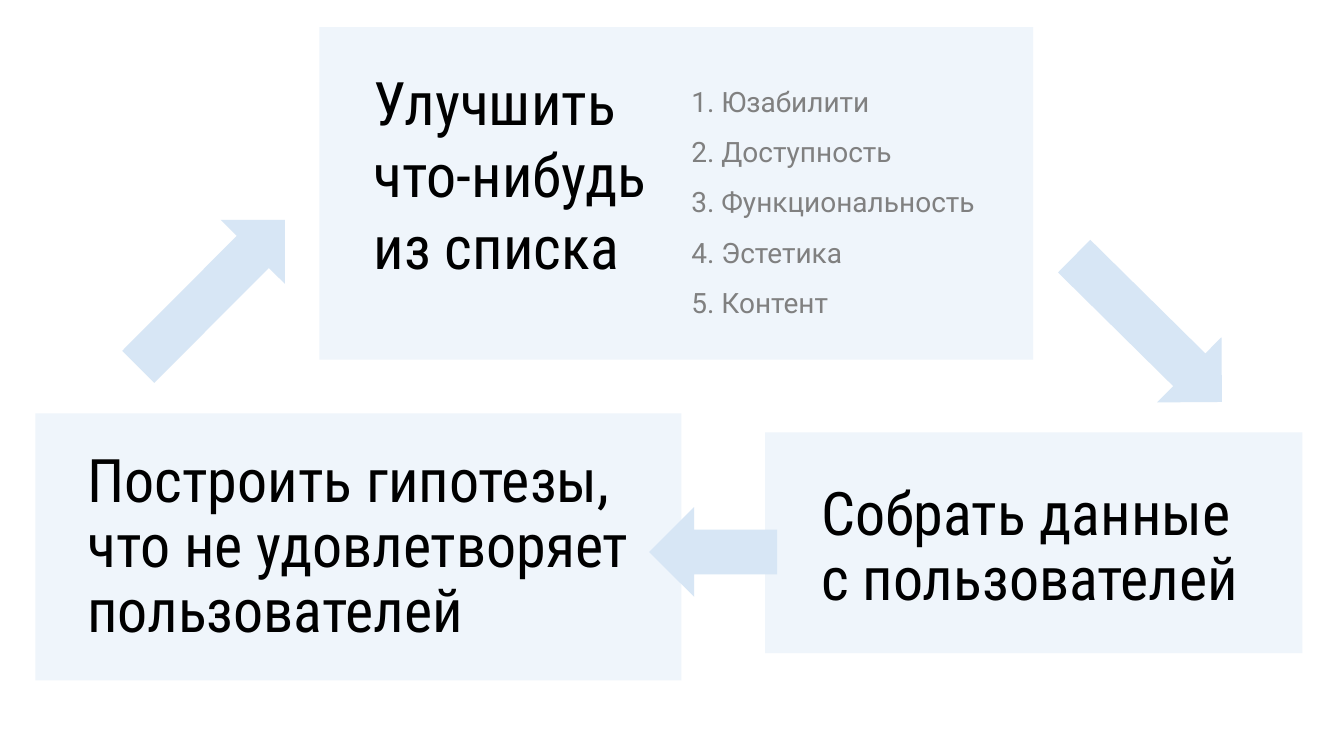
"""Build a slide showing the three-step product improvement cycle."""
from dataclasses import dataclass

from pptx import Presentation
from pptx.dml.color import RGBColor
from pptx.enum import shapes, text
from pptx.util import Pt


@dataclass(frozen=True)
class Theme:
    card: RGBColor = RGBColor(0xEF, 0xF5, 0xFB)
    arrow: RGBColor = RGBColor(0xD7, 0xE6, 0xF5)
    heading: RGBColor = RGBColor(0, 0, 0)
    detail: RGBColor = RGBColor(0x80, 0x80, 0x80)
    heading_size: float = 42.9
    detail_size: float = 20


theme = Theme()
presentation = Presentation()
presentation.slide_width = Pt(960)
presentation.slide_height = Pt(540)
slide = presentation.slides.add_slide(presentation.slide_layouts[6])


def add_block(kind, bounds, color, rotation=0):
    shape = slide.shapes.add_shape(kind, *map(Pt, bounds))
    shape.shadow.inherit = False
    shape.fill.solid()
    shape.fill.fore_color.rgb = color
    shape.line.fill.background()
    shape.rotation = rotation


def add_text(lines, bounds, anchor, spacing, font_format):
    frame = slide.shapes.add_textbox(*map(Pt, bounds)).text_frame
    frame.word_wrap = True
    frame.vertical_anchor = anchor
    frame.text = "\n".join(lines)
    for paragraph in frame.paragraphs:
        paragraph.line_spacing = spacing
        for name, value in font_format.items():
            setattr(paragraph.font, name, value)
        paragraph.font.color.rgb = (
            theme.detail if font_format is detail_format else theme.heading
        )


heading_format = {"name": "Roboto Condensed", "size": Pt(theme.heading_size)}
detail_format = {"name": "Roboto", "size": Pt(theme.detail_size)}

cards = [
    (25.2, 295.2, 461.5, 190.8),
    (546.5, 308.9, 383.8, 157.7),
    (228.2, 19.4, 509.8, 237.6),
]
for bounds in cards:
    add_block(shapes.MSO_SHAPE.RECTANGLE, bounds, theme.card)

qualities = ["Юзабилити", "Доступность", "Функциональность", "Эстетика", "Контент"]
numbered = [f"{number}. {quality}" for number, quality in enumerate(qualities, 1)]
top, middle = text.MSO_ANCHOR.TOP, text.MSO_ANCHOR.MIDDLE
texts = [
    (numbered, (486.7, 44.6, 234, 198.7), top, 1.5, detail_format),
    (["Улучшить что-нибудь из списка"],
     (259.9, 43.2, 213.8, 213.8), top, 1.0, heading_format),
    (["Собрать данные", "с пользователей"],
     (579.6, 338.4, 326.9, 106.6), middle, 0.9, heading_format),
    (["Построить гипотезы, что не удовлетворяет пользователей"],
     (55.4, 314.6, 418.3, 154.1), middle, 0.9, heading_format),
]
for block in texts:
    add_text(*block)

arrows = [
    ((77, 177.1, 148.3, 64.8), 314.9),
    ((745.9, 202.3, 148.3, 65.5), 44.6),
    ((463.7, 362.2, 91.4, 64.1), 180),
]
for bounds, rotation in arrows:
    add_block(shapes.MSO_SHAPE.RIGHT_ARROW, bounds, theme.arrow, rotation)

presentation.save("out.pptx")
